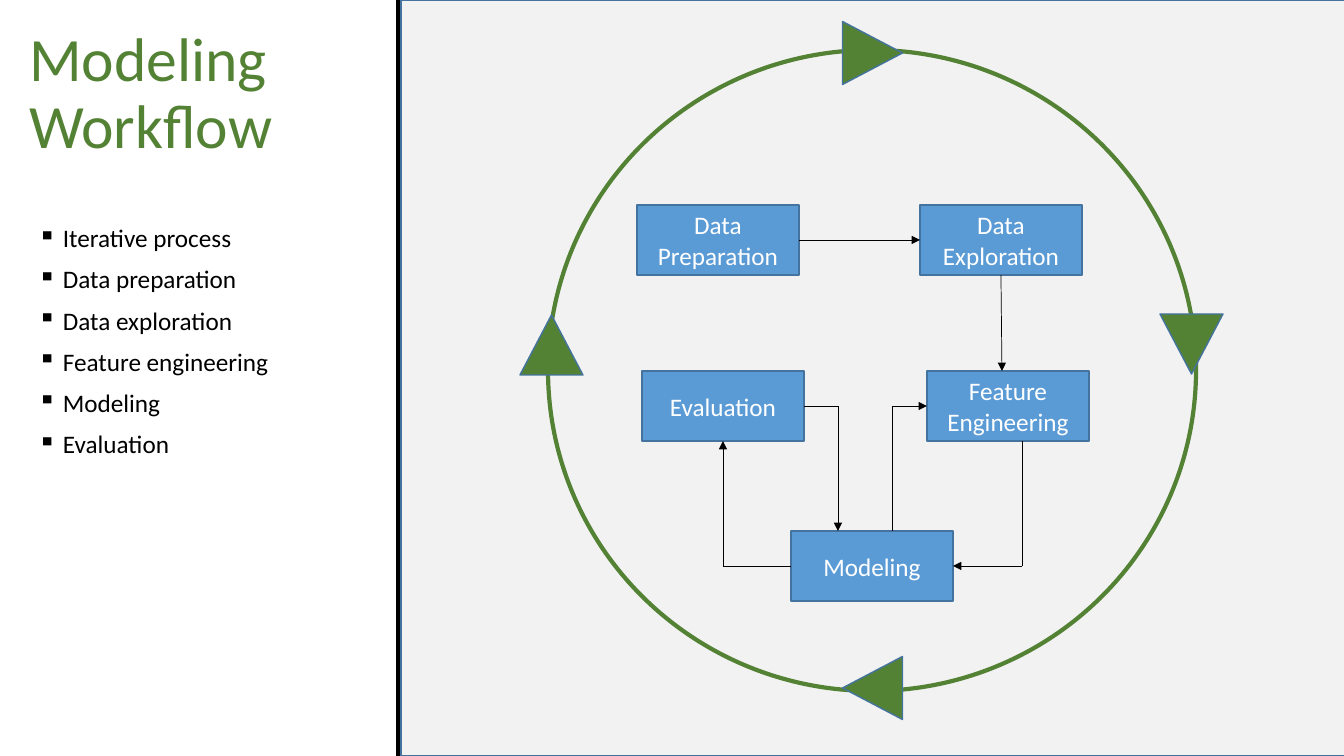
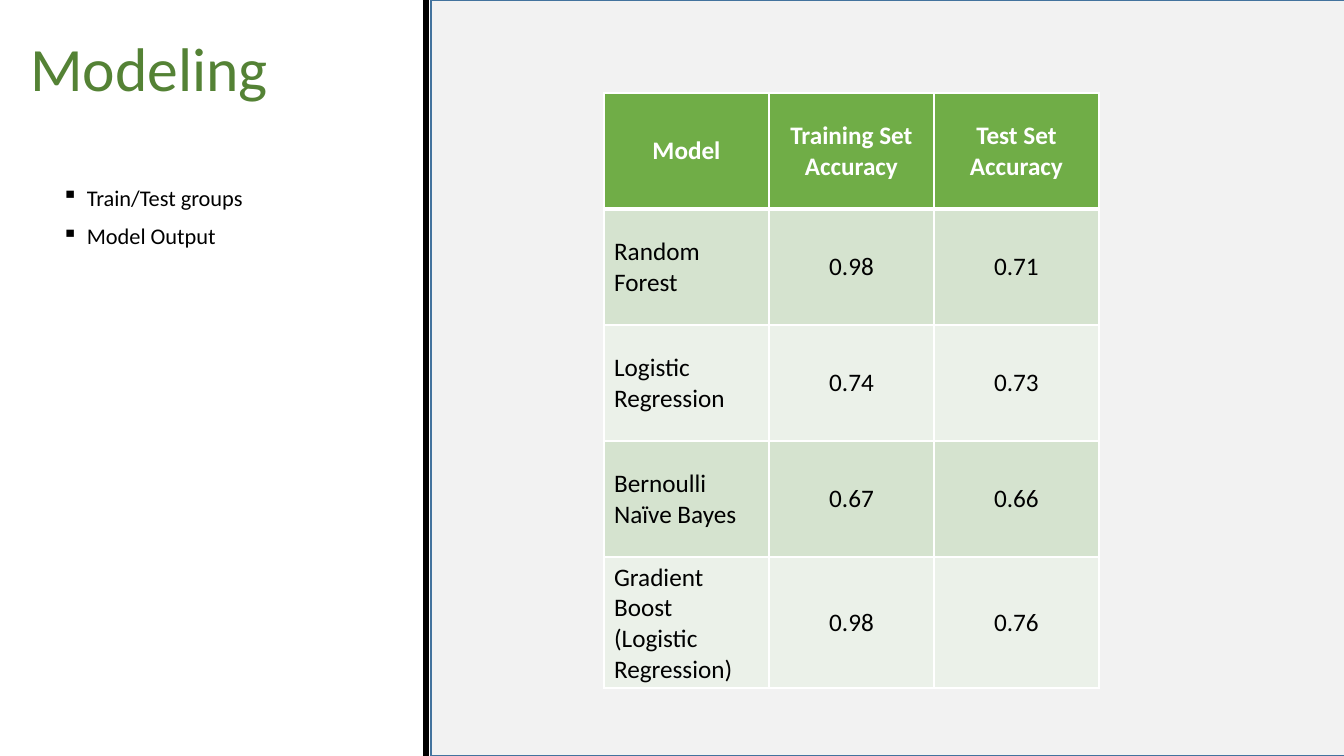
from pptx import Presentation
from pptx.dml.color import RGBColor
from pptx.enum.shapes import MSO_CONNECTOR as Connector, MSO_SHAPE as Preset
from pptx.enum.text import MSO_ANCHOR as Anchor, PP_ALIGN as Align
from pptx.oxml.ns import qn
from pptx.util import Pt
from lxml.etree import SubElement

SLIDE_W, SLIDE_H = 1344, 756
EMU_PER_PX = 12192000 / SLIDE_W
FONT = "Calibri"
COLORS = {
    "title": "548235", "cycle": "548235", "panel": "F2F2F2", "outline": "43739E",
    "step": "5B9BD5", "black": "000000", "white": "FFFFFF",
    "header": "70AD47", "odd_row": "D5E3CF", "even_row": "EBF1E9",
}
TOP, LEFT, BOTTOM, RIGHT = range(4)
STEP_W, STEP_H = 162, 70
MARKER_W, MARKER_H = 63, 60
COLUMN_W, ROW_H = 165, 116


def px(*lengths):
    return [round(length * EMU_PER_PX) for length in lengths]


def rgb(name):
    return RGBColor.from_string(COLORS[name])


def write(frame, lines, size=18, color="black", bold=False, align=Align.LEFT,
          anchor=Anchor.TOP, spacing=1.0, before=0, bullet=None):
    """Fill a text frame, one paragraph for each line."""
    frame.word_wrap = True
    frame.vertical_anchor = anchor
    for index, line in enumerate(lines):
        paragraph = frame.add_paragraph() if index else frame.paragraphs[0]
        paragraph.text = line
        paragraph.alignment = align
        paragraph.line_spacing = spacing
        paragraph.space_before = Pt(before)
        for run in paragraph.runs:
            run.font.name, run.font.size, run.font.bold = FONT, Pt(size), bold
            run.font.color.rgb = rgb(color)
        if bullet:
            properties = paragraph._p.get_or_add_pPr()
            indent, = px(25)
            properties.set("marL", str(indent))
            properties.set("indent", str(-indent))
            SubElement(properties, qn("a:buChar"), char=bullet)


def add_preset(slide, preset, box, fill=None, line="outline", width=1, rotation=0):
    shape = slide.shapes.add_shape(preset, *px(*box))
    shape.shadow.inherit = False
    shape.rotation = rotation
    if fill:
        shape.fill.solid()
        shape.fill.fore_color.rgb = rgb(fill)
    else:
        shape.fill.background()
    shape.line.color.rgb = rgb(line)
    shape.line.width = Pt(width)
    return shape


def add_line(slide, start, end, width=0.5, arrow=False):
    """Draw a line; each end is an (x, y) point or a (shape, side) pair."""
    points = [px(*end_point) if isinstance(end_point[0], int) else (0, 0)
              for end_point in (start, end)]
    line = slide.shapes.add_connector(Connector.STRAIGHT, *points[0], *points[1])
    for end_point, join in ((start, line.begin_connect), (end, line.end_connect)):
        if not isinstance(end_point[0], int):
            join(*end_point)
    line.line.color.rgb = rgb("black")
    line.line.width = Pt(width)
    if arrow:
        SubElement(line.get_or_add_ln(), qn("a:tailEnd"), type="triangle")
    SubElement(line.element.spPr, qn("a:effectLst"))


def add_route(slide, *stops):
    """Join the stops with straight lines, the last one with an arrowhead."""
    last = len(stops) - 2
    for index, (start, end) in enumerate(zip(stops, stops[1:])):
        add_line(slide, start, end, arrow=index == last)


def add_step(slide, label, left, top):
    step = add_preset(slide, Preset.RECTANGLE, (left, top, STEP_W, STEP_H), "step")
    write(step.text_frame, [label], color="white", align=Align.CENTER, anchor=Anchor.MIDDLE)
    return step


def add_bullets(slide, box, lines, size):
    bullets = slide.shapes.add_textbox(*px(*box))
    write(bullets.text_frame, lines, size=size, spacing=0.9, before=10, bullet="▪")


def start_slide(prs, title, title_box, divider_x, panel_x):
    """Add a slide with its title, divider and grey panel."""
    slide = prs.slides.add_slide(prs.slide_layouts[5])
    heading = slide.shapes.title
    heading.left, heading.top, heading.width, heading.height = px(*title_box)
    write(heading.text_frame, [title], size=44, color="title",
          anchor=Anchor.MIDDLE, spacing=0.9)
    add_line(slide, (divider_x, 0), (divider_x, SLIDE_H), width=4.5)
    add_preset(slide, Preset.RECTANGLE, (panel_x, 0, 1355 - panel_x, SLIDE_H), "panel")
    return slide


def add_borders(cell, **widths):
    properties = cell._tc.get_or_add_tcPr()
    for side in "LRTB":
        border = SubElement(properties, qn(f"a:ln{side}"), w=str(Pt(widths.get(side, 1))))
        fill = SubElement(border, qn("a:solidFill"))
        SubElement(fill, qn("a:srgbClr"), val=COLORS["white"])


def add_accuracy_table(slide, left, top, rows):
    columns = len(rows[0])
    table = slide.shapes.add_table(
        len(rows), columns, *px(left, top, columns * COLUMN_W, len(rows) * ROW_H)).table
    for column in table.columns:
        column.width, = px(COLUMN_W)
    for r, row in enumerate(rows):
        table.rows[r].height, = px(ROW_H)
        header = r == 0
        fill = "header" if header else "odd_row" if r % 2 else "even_row"
        for c, text in enumerate(row):
            cell = table.cell(r, c)
            add_borders(cell, T=3 if r == 1 else 1, B=3 if header else 1)
            cell.fill.solid()
            cell.fill.fore_color.rgb = rgb(fill)
            write(cell.text_frame, text.split("\n"), bold=header,
                  color="white" if header else "black",
                  align=Align.CENTER if header or c else Align.LEFT)
            cell.vertical_anchor = Anchor.MIDDLE


def build_workflow(prs):
    slide = start_slide(prs, "Modeling\vWorkflow", (19, 22, 287, 146), 399, 401)
    add_bullets(slide, (28, 221, 337, 500),
                ["Iterative process", "Data preparation", "Data exploration",
                 "Feature engineering", "Modeling", "Evaluation"], 18)

    add_preset(slide, Preset.OVAL, (548, 50, 648, 641), line="cycle", width=3)
    for left, top, rotation in ((841, 23, 90), (1160, 314, 180), (841, 658, 270), (520, 315, 0)):
        add_preset(slide, Preset.ISOSCELES_TRIANGLE, (left, top, MARKER_W, MARKER_H),
                   "cycle", rotation=rotation)

    preparation = add_step(slide, "Data Preparation", 637, 205)
    exploration = add_step(slide, "Data Exploration", 920, 205)
    feature = add_step(slide, "Feature Engineering", 927, 371)
    modeling = add_step(slide, "Modeling", 791, 531)
    evaluation = add_step(slide, "Evaluation", 642, 371)

    add_route(slide, (preparation, RIGHT), (exploration, LEFT))
    add_route(slide, (exploration, BOTTOM), (1002, 371))
    add_route(slide, (1022, 441), (1022, 566), (modeling, RIGHT))
    add_route(slide, (modeling, LEFT), (723, 566), (evaluation, BOTTOM))
    add_route(slide, (evaluation, RIGHT), (838, 406), (838, 531))
    add_route(slide, (892, 531), (892, 406), (feature, LEFT))


def build_results(prs):
    slide = start_slide(prs, "Modeling", (20, 17, 297, 110), 426, 431)
    add_bullets(slide, (52, 182, 322, 468), ["Train/Test groups", "Model Output"], 16)
    add_accuracy_table(slide, 604, 93, [
        ("Model", "Training Set\nAccuracy", "Test Set Accuracy"),
        ("Random\nForest", "0.98", "0.71"),
        ("Logistic Regression", "0.74", "0.73"),
        ("Bernoulli\nNaïve Bayes", "0.67", "0.66"),
        ("Gradient Boost\n(Logistic Regression)", "0.98", "0.76"),
    ])


def main():
    prs = Presentation()
    prs.slide_width, prs.slide_height = px(SLIDE_W, SLIDE_H)
    build_workflow(prs)
    build_results(prs)
    prs.save("out.pptx")


if __name__ == "__main__":
    main()
